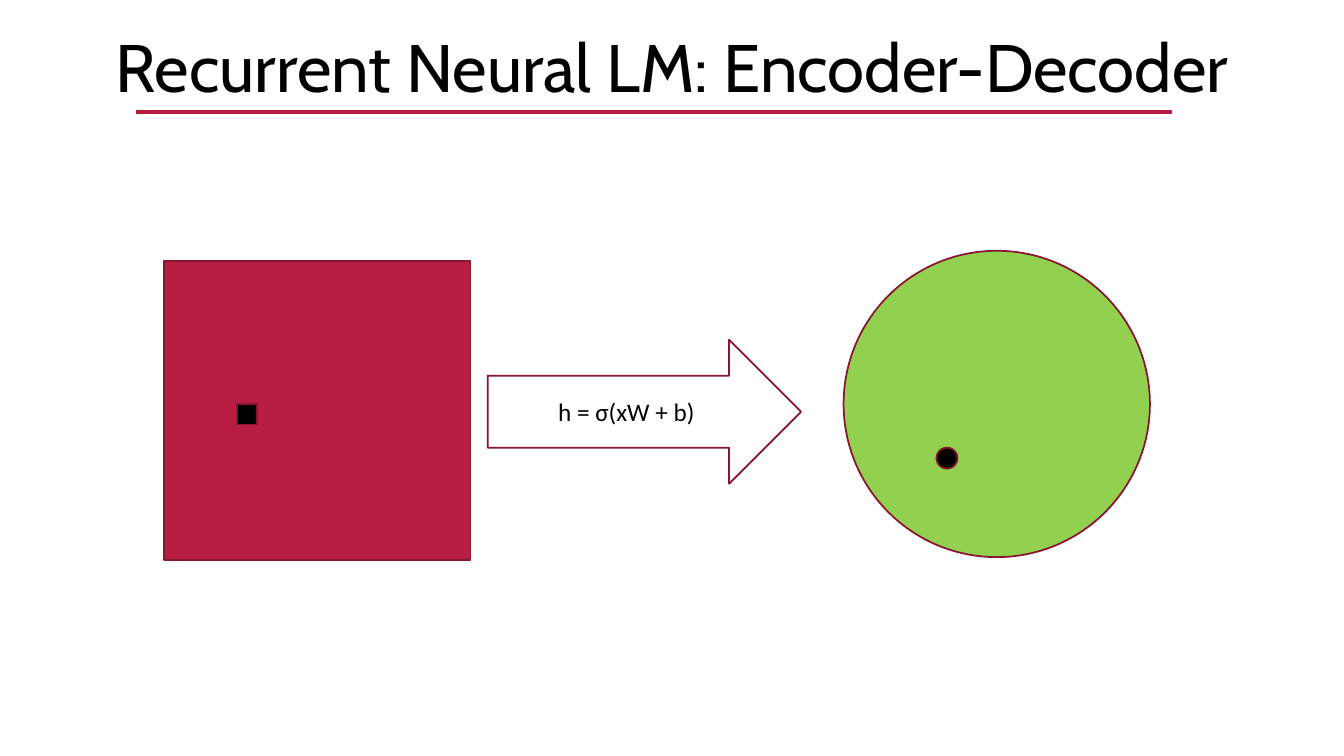
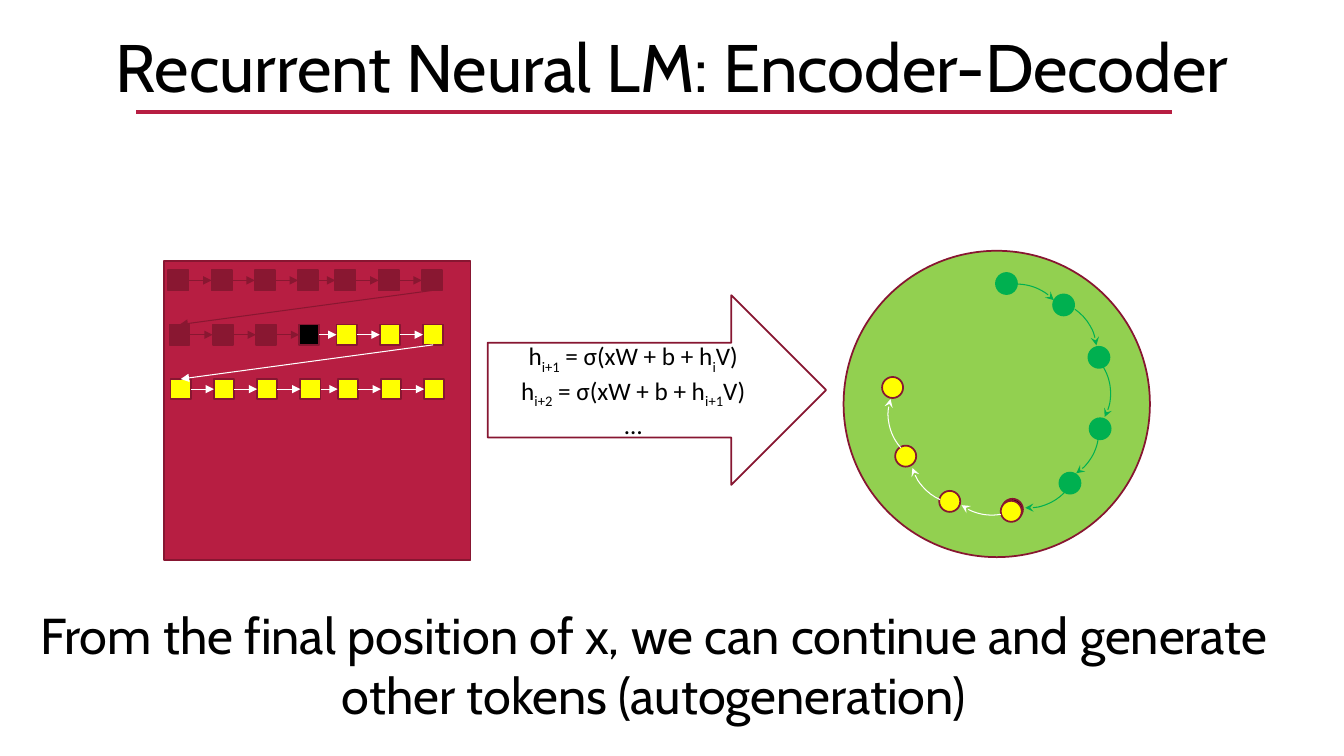
from dataclasses import dataclass
from itertools import pairwise, zip_longest

from pptx import Presentation
from pptx.dml.color import RGBColor
from pptx.enum.shapes import MSO_CONNECTOR as Connector, MSO_SHAPE as Shape
from pptx.enum.text import MSO_ANCHOR as Anchor, MSO_AUTO_SIZE as AutoSize, PP_ALIGN as Align
from pptx.oxml.ns import qn
from pptx.util import Cm, Pt
from lxml.etree import SubElement


@dataclass(frozen=True)
class Theme:
    black: str = "000000"
    white: str = "FFFFFF"
    red: str = "B71E42"
    outline: str = "871631"
    wine: str = "891731"
    lime: str = "92D050"
    green: str = "00B050"
    yellow: str = "FFFF00"
    heading_font: str = "Cabin"
    formula_font: str = "Calibri"
    title_size: float = 48
    caption_size: float = 36
    formula_size: float = 18
    edge: float = 1.25
    rule: float = 2.5
    link: float = 0.75


TITLE = "Recurrent Neural LM: Encoder-Decoder"
TITLE_BOX = (0, 0.51, 33.87, 2.31)
INPUT_BOX = (4.14, 6.58, 7.72, 7.54)
STATE_BOX = (21.26, 6.32, 7.72, 7.72)
TOKEN = 0.51
STATE = 0.53
ARC = 2.54
COLUMNS = 7
CURRENT_TOKEN = 10
ARC_SPANS = [(162, 190.19), (182.71, 212.32), (197.2, 16.84)]


class Deck:
    def __init__(self, theme):
        self.theme = theme
        self.deck = Presentation()
        self.deck.slide_width = Cm(33.87)
        self.deck.slide_height = Cm(19.05)
        self.page = None

    def add_page(self):
        theme = self.theme
        self.page = self.deck.slides.add_slide(self.deck.slide_layouts[5])
        title = self.page.shapes.title
        title.left, title.top, title.width, title.height = map(Cm, TITLE_BOX)
        self.set_text(title, [[TITLE]], theme.heading_font, theme.title_size, Anchor.TOP)
        rule = self.page.shapes.add_connector(
            Connector.STRAIGHT, Cm(3.43), Cm(2.82), Cm(29.54), Cm(2.82))
        self.style_line(rule, theme.red, theme.rule)
        self.clear_effects(rule)
        self.shape(Shape.OVAL, STATE_BOX, theme.lime)
        self.shape(Shape.RECTANGLE, INPUT_BOX, theme.red)

    def set_text(self, box, lines, font, size, anchor):
        frame = box.text_frame
        for name, value in {"word_wrap": True, "auto_size": AutoSize.NONE,
                            "vertical_anchor": anchor}.items():
            setattr(frame, name, value)
        for index, parts in enumerate(lines):
            para = frame.add_paragraph() if index else frame.paragraphs[0]
            para.alignment = Align.CENTER
            for position, text in enumerate(parts):
                span = para.add_run()
                span.text = text
                for name, value in {"name": font, "size": Pt(size)}.items():
                    setattr(span.font, name, value)
                span.font.color.rgb = RGBColor.from_string(self.theme.black)
                if position % 2:
                    span._r.get_or_add_rPr().set("baseline", "-25000")

    def style_line(self, item, color, width, head=None):
        item.line.color.rgb = RGBColor.from_string(color)
        item.line.width = Pt(width)
        if head:
            outline = item._element.spPr.find(qn("a:ln"))
            SubElement(outline, qn("a:tailEnd"), type=head)

    def clear_effects(self, connector):
        SubElement(connector._element.spPr, qn("a:effectLst"))

    def shape(self, kind, area, fill=None, line=None):
        item = self.page.shapes.add_shape(kind, *map(Cm, area))
        item.shadow.inherit = False
        if fill:
            item.fill.solid()
            item.fill.fore_color.rgb = RGBColor.from_string(fill)
        else:
            item.fill.background()
        self.style_line(item, line or self.theme.outline, self.theme.edge)
        return item

    def token(self, left, top, fill, line=None):
        return self.shape(Shape.RECTANGLE, (left, top, TOKEN, TOKEN), fill, line)

    def state(self, left, top, fill, line=None):
        return self.shape(Shape.OVAL, (left, top, STATE, STATE), fill, line)

    def arc(self, left, top, turn, span, color):
        item = self.shape(Shape.ARC, (left, top, ARC, ARC))
        item.adjustments[0], item.adjustments[1] = ARC_SPANS[span]
        item.rotation = turn
        self.style_line(item, color, self.theme.link, "stealth")

    def link(self, start, end, color, wraps):
        connector = self.page.shapes.add_connector(Connector.STRAIGHT, 0, 0, 0, 0)
        connector.begin_connect(start, 2 if wraps else 3)
        connector.end_connect(end, 0 if wraps else 1)
        self.style_line(connector, color, self.theme.link, "triangle")
        self.clear_effects(connector)

    def formula_arrow(self, area, lines):
        arrow = self.shape(Shape.RIGHT_ARROW, area)
        self.set_text(arrow, lines, self.theme.formula_font, self.theme.formula_size,
                      Anchor.MIDDLE)

    def caption(self, area, text):
        box = self.page.shapes.add_textbox(*map(Cm, area))
        self.set_text(box, [[text]], self.theme.heading_font, self.theme.caption_size,
                      Anchor.TOP)

    def token_chain(self, count):
        theme = self.theme
        tokens = []
        for index in range(count):
            row, column = divmod(index, COLUMNS)
            left = 4.24 + 0.03 * row + 1.09 * column - 0.15 * (column > 3)
            top = 6.81 + 1.37 * row
            if index < CURRENT_TOKEN:
                fill, line = theme.wine, theme.wine
            else:
                fill = theme.black if index == CURRENT_TOKEN else theme.yellow
                line = theme.outline
            tokens.append(self.token(left, top, fill, line))
        for index, (start, end) in enumerate(pairwise(tokens), 1):
            color = theme.wine if index <= CURRENT_TOKEN else theme.white
            self.link(start, end, color, index % COLUMNS == 0)

    def state_trail(self, states, arcs, fill, line, arc_color):
        for place, arc in zip_longest(states, arcs):
            if place:
                self.state(*place, fill, line)
            if arc:
                self.arc(*arc, arc_color)


def build_single_step(slides):
    theme = slides.theme
    slides.add_page()
    slides.state(23.6, 11.28, theme.black)
    slides.formula_arrow((12.29, 8.56, 7.9, 3.63), [["h = σ(xW + b)"]])
    slides.token(5.97, 10.19, theme.black)


def build_autogeneration(slides):
    theme = slides.theme
    slides.add_page()
    slides.token_chain(3 * COLUMNS)
    slides.state_trail(
        [(25.1, 6.88), (26.54, 7.42), (27.43, 8.74), (27.46, 10.54), (26.7, 11.91)],
        [(24.36, 7.16, 0, 0), (25.1, 7.57, 0, 1), (25.45, 8.64, 0, 2),
         (25.15, 9.6, 99.5, 0), (24.64, 10.26, 99.5, 1)],
        theme.green, theme.green, theme.green)
    slides.state(25.25, 12.57, theme.black)
    slides.formula_arrow((12.29, 7.44, 8.53, 4.78), [
        ["h", "i+1", " = σ(xW + b + h", "i", "V)"],
        ["h", "i+2", " = σ(xW + b + h", "i+1", "V)"],
        ["…"],
    ])
    slides.caption((-0.46, 15.09, 33.87, 3.33),
                   "From the final position of x, we can continue and generate "
                   "other tokens (autogeneration)")
    slides.state_trail(
        [(25.22, 12.62), (23.67, 12.37), (22.56, 11.23), (22.23, 9.5)],
        [(23.72, 10.44, 169.6, 0), (22.94, 10.16, 169.6, 1), (22.38, 9.17, 169.6, 2)],
        theme.yellow, theme.outline, theme.white)


def main():
    slides = Deck(Theme())
    build_single_step(slides)
    build_autogeneration(slides)
    slides.deck.save("out.pptx")


if __name__ == "__main__":
    main()
